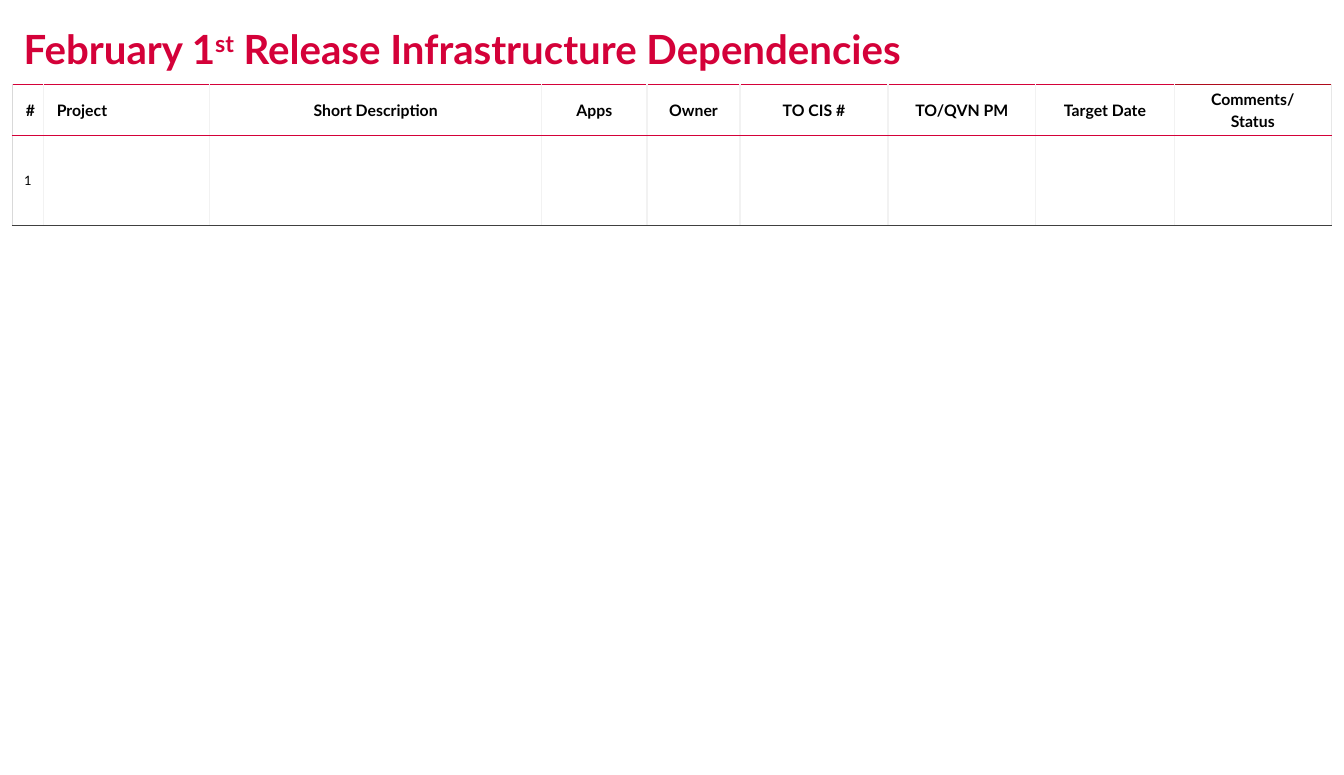
"""Build the release infrastructure dependencies slide."""
from dataclasses import dataclass

from pptx import Presentation
from pptx.dml.color import RGBColor as RGB
from pptx.enum.text import MSO_ANCHOR as Anchor, PP_ALIGN as Align
from pptx.oxml.ns import qn
from pptx.util import Inches, Pt
from lxml.etree import SubElement


@dataclass(frozen=True)
class Theme:
    font: str = "Lato"
    accent: str = "D40139"
    accent_dark: str = "AF0B1C"
    text: str = "000000"
    paper: str = "FFFFFF"
    grid: str = "F2F2F2"
    left_edge: str = "D9D9D9"
    right_edge: str = "E7E7E7"
    bottom_edge: str = "404040"
    title_size: float = 28
    head_size: float = 11
    body_size: float = 9


@dataclass(frozen=True)
class Column:
    head: str
    width: float
    align: Align = Align.CENTER
    value: str = ""


THEME = Theme()
COLUMNS = (
    Column("#", 0.29, value="1"),
    Column("Project", 1.61, Align.LEFT),
    Column("Short Description", 3.21),
    Column("Apps", 1.02),
    Column("Owner", 0.9),
    Column("TO CIS #", 1.43),
    Column("TO/QVN PM", 1.43),
    Column("Target Date", 1.34),
    Column("Comments/\nStatus", 1.52),
)
ROW_HEIGHTS = (0.49, 0.87)


def add_run(p, text: str, *, size: float, color: str = THEME.text,
            bold: bool = False, baseline: int = 0) -> None:
    """Append a formatted run to a paragraph."""
    r = p.add_run()
    r.text = text
    r.font.name, r.font.size, r.font.bold = THEME.font, Pt(size), bold
    r.font.color.rgb = RGB.from_string(color)
    if baseline:
        r.font._element.set("baseline", str(baseline * 1000))


def set_borders(cell, **colors: str) -> None:
    """Draw one-point cell borders ahead of the cell fill."""
    tc_pr = cell._tc.get_or_add_tcPr()
    for side, color in colors.items():
        ln = SubElement(tc_pr, qn(f"a:ln{side}"), w=str(Pt(1)))
        SubElement(SubElement(ln, qn("a:solidFill")), qn("a:srgbClr"), val=color)


def fill_cell(cell, text: str, align: Align, inset: tuple[float, float],
              gap: float, **style) -> None:
    """Format a cell and write one paragraph per line of text."""
    cell.fill.solid()
    cell.fill.fore_color.rgb = RGB.from_string(THEME.paper)
    cell.vertical_anchor = Anchor.MIDDLE
    cell.margin_left = cell.margin_right = Inches(inset[0])
    cell.margin_top = cell.margin_bottom = Inches(inset[1])
    tf = cell.text_frame
    for i, line in enumerate(text.split("\n")):
        p = tf.add_paragraph() if i else tf.paragraphs[0]
        p.alignment, p.space_after = align, Pt(gap)
        if i:
            p.space_before = Pt(gap)
        if line:
            add_run(p, line, **style)


def add_title(s) -> None:
    """Add the slide title with its raised ordinal."""
    tf = s.shapes.add_textbox(Inches(0.23), Inches(0.2), Inches(11.96), Inches(0.62)).text_frame
    tf.word_wrap, tf.vertical_anchor = True, Anchor.BOTTOM
    tf.margin_left = tf.margin_top = tf.margin_right = 0
    tf.margin_bottom = Inches(0.12)
    for text, baseline in (("February 1", 0), ("st", 30),
                           (" Release Infrastructure Dependencies", 0)):
        add_run(tf.paragraphs[0], text, size=THEME.title_size, color=THEME.accent,
                bold=True, baseline=baseline)


def add_dependencies(s) -> None:
    """Add the dependencies table."""
    last = len(COLUMNS) - 1
    table = s.shapes.add_table(
        len(ROW_HEIGHTS), len(COLUMNS), Inches(0.12), Inches(0.82),
        Inches(sum(c.width for c in COLUMNS)), Inches(sum(ROW_HEIGHTS))).table
    table.horz_banding = False
    for row, height in zip(table.rows, ROW_HEIGHTS):
        row.height = Inches(height)
    for i, col in enumerate(COLUMNS):
        table.columns[i].width = Inches(col.width)
        head, body = table.cell(0, i), table.cell(1, i)
        sides = {"L": THEME.grid if i else THEME.left_edge,
                 "R": THEME.right_edge if i == last else THEME.grid}
        top = THEME.accent_dark if i == last else THEME.accent
        set_borders(head, **sides, T=top, B=THEME.accent)
        set_borders(body, **sides, T=THEME.accent, B=THEME.bottom_edge)
        fill_cell(head, col.head, col.align, (0.13, 0.05), 1, size=THEME.head_size, bold=True)
        fill_cell(body, col.value, col.align, (0.01, 0.01), 0, size=THEME.body_size)


def main() -> None:
    """Create and save the presentation."""
    prs = Presentation()
    prs.slide_width, prs.slide_height = Inches(13), Inches(7.5)
    s = prs.slides.add_slide(prs.slide_layouts[6])
    add_title(s)
    add_dependencies(s)
    prs.save("out.pptx")


if __name__ == "__main__":
    main()
